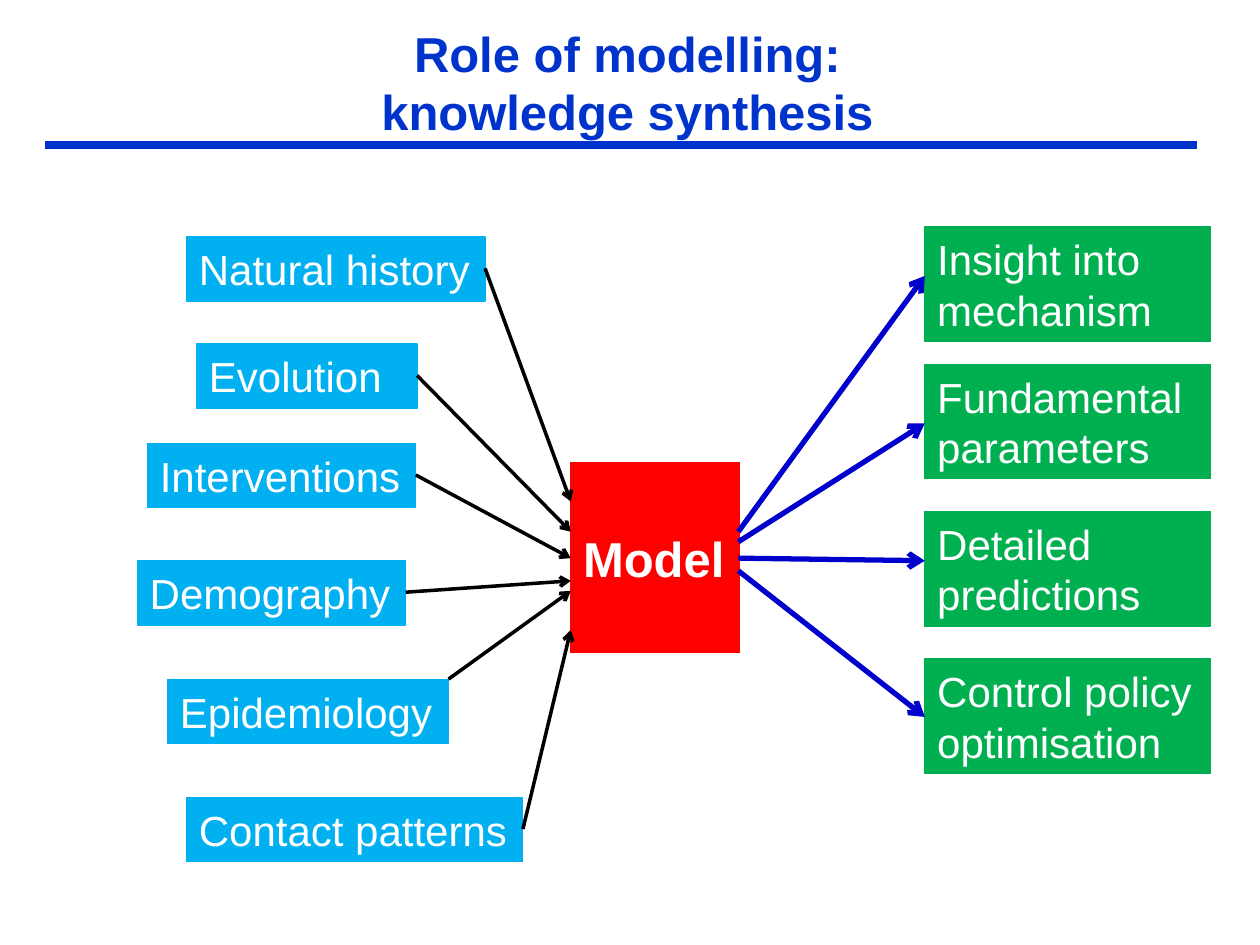
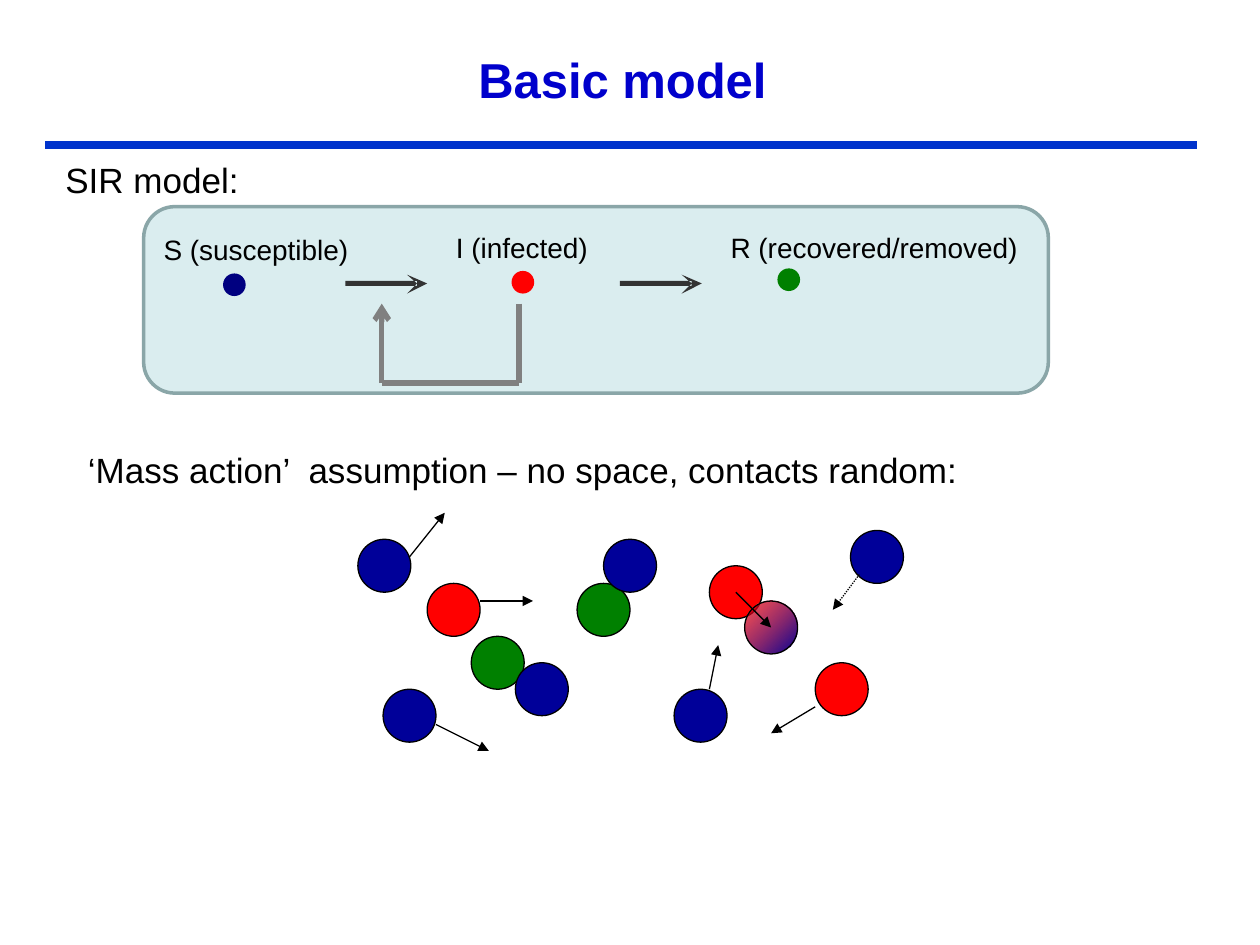
from itertools import pairwise

from lxml.etree import SubElement
from pptx import Presentation
from pptx.dml.color import RGBColor
from pptx.enum.dml import MSO_LINE
from pptx.enum.shapes import MSO_CONNECTOR, MSO_SHAPE
from pptx.enum.text import MSO_ANCHOR, MSO_AUTO_SIZE, PP_ALIGN
from pptx.oxml.ns import qn
from pptx.util import Pt

PX = 9144
FONT = "Arial"

WHITE = RGBColor(0xFF, 0xFF, 0xFF)
BLACK = RGBColor(0x00, 0x00, 0x00)
RED = RGBColor(0xFF, 0x00, 0x00)
RULE_BLUE = RGBColor(0x00, 0x33, 0xCC)
ARROW_BLUE = RGBColor(0x00, 0x00, 0xCC)
INPUT_BLUE = RGBColor(0x00, 0xB0, 0xF0)
OUTPUT_GREEN = RGBColor(0x00, 0xB0, 0x50)
PANEL_FILL = RGBColor(0xDA, 0xED, 0xEF)
PANEL_LINE = RGBColor(0x8A, 0xA6, 0xA8)
NAVY = RGBColor(0x00, 0x00, 0x80)
SUSCEPTIBLE_BLUE = RGBColor(0x00, 0x00, 0x99)
RECOVERED_GREEN = RGBColor(0x00, 0x80, 0x00)
DARK_GREY = RGBColor(0x33, 0x33, 0x33)
GREY = RGBColor(0x80, 0x80, 0x80)

MODEL_LEFT, MODEL_RIGHT = 453, 586
INPUT_HEIGHT = 51
OUTPUT_LEFT = 734
DOT = 18
PERSON = 42

# label, left, top, width, arrow start below top, arrow end y
INPUTS = [
    ("Natural history", 148, 188, 237, 25, 398),
    ("Evolution", 156, 273, 175, 25, 422),
    ("Interventions", 117, 352, 213, 25, 443),
    ("Demography", 109, 445, 213, 25, 461),
    ("Epidemiology", 133, 539, 223, 0, 469),
    ("Contact patterns", 148, 633, 267, 25, 500),
]
# label, top, arrow start y, arrow end y
OUTPUTS = [
    ("Insight into mechanism", 180, 422, 219),
    ("Fundamental\nparameters", 289, 430, 336),
    ("Detailed predictions", 406, 443, 445),
    ("Control policy optimisation", 523, 453, 569),
]
# label, left, top, width, dot left, dot top, dot colour
STATES = [
    ("S (susceptible)", 120, 180, 169, 177, 217, NAVY),
    ("I (infected)", 352, 178, 148, 406, 215, RED),
    ("R (recovered/removed)", 570, 178, 251, 617, 213, RECOVERED_GREEN),
]
PEOPLE = [
    (284, 428, SUSCEPTIBLE_BLUE),
    (304, 547, SUSCEPTIBLE_BLUE),
    (458, 463, RECOVERED_GREEN),
    (374, 505, RECOVERED_GREEN),
    (409, 526, SUSCEPTIBLE_BLUE),
    (563, 449, RED),
    (591, 477, None),
    (535, 547, SUSCEPTIBLE_BLUE),
    (647, 526, RED),
    (339, 463, RED),
    (479, 428, SUSCEPTIBLE_BLUE),
    (675, 421, SUSCEPTIBLE_BLUE),
]
MOVES = [
    ((346, 575), (388, 596)),
    ((325, 442), (353, 407)),
    ((381, 477), (423, 477)),
    ((563, 547), (570, 512)),
    ((647, 561), (612, 582)),
    ((584, 470), (612, 498)),
]
FADING_MOVE = ((682, 456), (661, 484))
FEEDBACK = [(412, 241), (412, 304), (303, 304), (303, 241)]


def to_emu(*lengths):
    """Turn px lengths into EMU."""
    return [length * PX for length in lengths]


def format_text(text_frame, size, color, bold=False, align=PP_ALIGN.LEFT):
    """Give every paragraph of a frame the same look."""
    text_frame.word_wrap = True
    text_frame.auto_size = MSO_AUTO_SIZE.NONE
    for paragraph in text_frame.paragraphs:
        paragraph.alignment = align
        for run in paragraph.runs:
            run.font.name = FONT
            run.font.size = Pt(size)
            run.font.bold = bold
            run.font.color.rgb = color


def add_titled_slide(presentation, title, box, color):
    """Add a title-only slide with a centred bold title."""
    slide = presentation.slides.add_slide(presentation.slide_layouts[5])
    shape = slide.shapes.title
    shape.left, shape.top, shape.width, shape.height = to_emu(*box)
    shape.text_frame.text = title
    shape.text_frame.vertical_anchor = MSO_ANCHOR.MIDDLE
    format_text(shape.text_frame, 28, color, True, PP_ALIGN.CENTER)
    return slide


def add_label(slide, text, box, size):
    """Add plain black text."""
    text_frame = slide.shapes.add_textbox(*to_emu(*box)).text_frame
    text_frame.text = text
    format_text(text_frame, size, BLACK)


def add_shape(slide, kind, box, fill, line=None, width=0.75):
    """Add a flat preset shape, outlined when a line colour is given."""
    shape = slide.shapes.add_shape(kind, *to_emu(*box))
    shape.shadow.inherit = False
    shape.fill.solid()
    shape.fill.fore_color.rgb = fill
    if line is None:
        shape.line.fill.background()
    else:
        shape.line.color.rgb = line
        shape.line.width = Pt(width)
    return shape


def add_box(slide, text, box, fill, size=24, bold=False):
    """Add a filled rectangle with white text."""
    shape = add_shape(slide, MSO_SHAPE.RECTANGLE, box, fill, fill)
    shape.text_frame.text = text
    shape.text_frame.vertical_anchor = MSO_ANCHOR.MIDDLE
    format_text(shape.text_frame, size, WHITE, bold)


def add_line(slide, start, end, color, width, arrow=None, dash=None):
    """Add a straight line, with an arrowhead at its end if one is named."""
    connector = slide.shapes.add_connector(
        MSO_CONNECTOR.STRAIGHT, *to_emu(*start, *end))
    connector.line.color.rgb = color
    connector.line.width = Pt(width)
    if dash:
        connector.line.dash_style = dash
    properties = connector.element.spPr
    if arrow:
        SubElement(properties.find(qn("a:ln")), qn("a:tailEnd"), type=arrow)
    SubElement(properties, qn("a:effectLst"))
    return connector


def add_transition_arrow(slide, left, middle):
    """Add a block arrow with a swept-back head."""
    tip = left + 57
    builder = slide.shapes.build_freeform(left, middle - 2, scale=PX)
    builder.add_line_segments(
        [(tip, middle - 2), (tip, middle + 2), (left, middle + 2)])
    builder.move_to(tip, middle)
    builder.add_line_segments(
        [(tip - 8, middle - 7), (tip + 8, middle), (tip - 8, middle + 8)])
    arrow = builder.convert_to_shape()
    arrow.shadow.inherit = False
    arrow.fill.solid()
    arrow.fill.fore_color.rgb = DARK_GREY
    arrow.line.fill.background()


def add_person(slide, left, top, color):
    """Add a person, blended from red to blue when no colour is given."""
    person = add_shape(slide, MSO_SHAPE.OVAL, (left, top, PERSON, PERSON),
                       color or RED, BLACK)
    if color is None:
        person.fill.gradient()
        person.fill.gradient_angle = 315
        for stop, shade in zip(person.fill.gradient_stops,
                               (RED, SUSCEPTIBLE_BLUE)):
            stop.color.rgb = shade
        first_color = person.element.spPr.find(".//" + qn("a:srgbClr"))
        SubElement(first_color, qn("a:alpha"), val="67000")


def add_shared_rule(slide):
    """Put the rule below the title on the layout of the slide."""
    rule = add_line(slide, (36, 115), (950, 115), RULE_BLUE, 4.5)
    slide.slide_layout.shapes.element.append(rule.element)


def build_synthesis(slide):
    """Draw the inputs and outputs of the model."""
    add_box(slide, "Model", (MODEL_LEFT, 367, 134, 151), RED, 28, True)
    for label, left, top, width, drop, end in INPUTS:
        add_box(slide, label, (left, top, width, INPUT_HEIGHT), INPUT_BLUE)
        add_line(slide, (left + width, top + drop), (MODEL_LEFT, end),
                 BLACK, 2, "arrow")
    for label, top, start, end in OUTPUTS:
        add_box(slide, label, (OUTPUT_LEFT, top, 227, 91), OUTPUT_GREEN)
        add_line(slide, (MODEL_RIGHT, start), (OUTPUT_LEFT, end),
                 ARROW_BLUE, 3, "arrow")


def build_basic_model(slide):
    """Draw the SIR states and the randomly mixing people."""
    add_shape(slide, MSO_SHAPE.ROUNDED_RECTANGLE, (114, 164, 718, 148),
              PANEL_FILL, PANEL_LINE, 2)
    add_label(slide, "SIR model:", (42, 121, 493, 44), 20)
    for label, left, top, width, dot_left, dot_top, color in STATES:
        add_label(slide, label, (left, top, width, 37), 16)
        add_shape(slide, MSO_SHAPE.OVAL, (dot_left, dot_top, DOT, DOT), color)
    for left in (274, 492):
        add_transition_arrow(slide, left, 225)
    for start, end in pairwise(FEEDBACK):
        arrow = "arrow" if end == FEEDBACK[-1] else None
        add_line(slide, start, end, GREY, 3, arrow)
    add_label(slide, "‘Mass action’  assumption – no space, contacts random:",
              (60, 351, 826, 44), 20)
    for left, top, color in PEOPLE:
        add_person(slide, left, top, color)
    for start, end in MOVES:
        add_line(slide, start, end, BLACK, 0.75, "triangle")
    add_line(slide, *FADING_MOVE, BLACK, 0.75, "triangle", MSO_LINE.ROUND_DOT)


def main():
    """Build and save the presentation."""
    presentation = Presentation()
    presentation.slide_width, presentation.slide_height = to_emu(1000, 750)
    synthesis = add_titled_slide(
        presentation, "Role of modelling:\vknowledge synthesis",
        (106, 13, 784, 104), RULE_BLUE)
    add_shared_rule(synthesis)
    build_synthesis(synthesis)
    basic_model = add_titled_slide(
        presentation, "Basic model", (96, 34, 796, 57), ARROW_BLUE)
    build_basic_model(basic_model)
    presentation.save("out.pptx")


if __name__ == "__main__":
    main()
